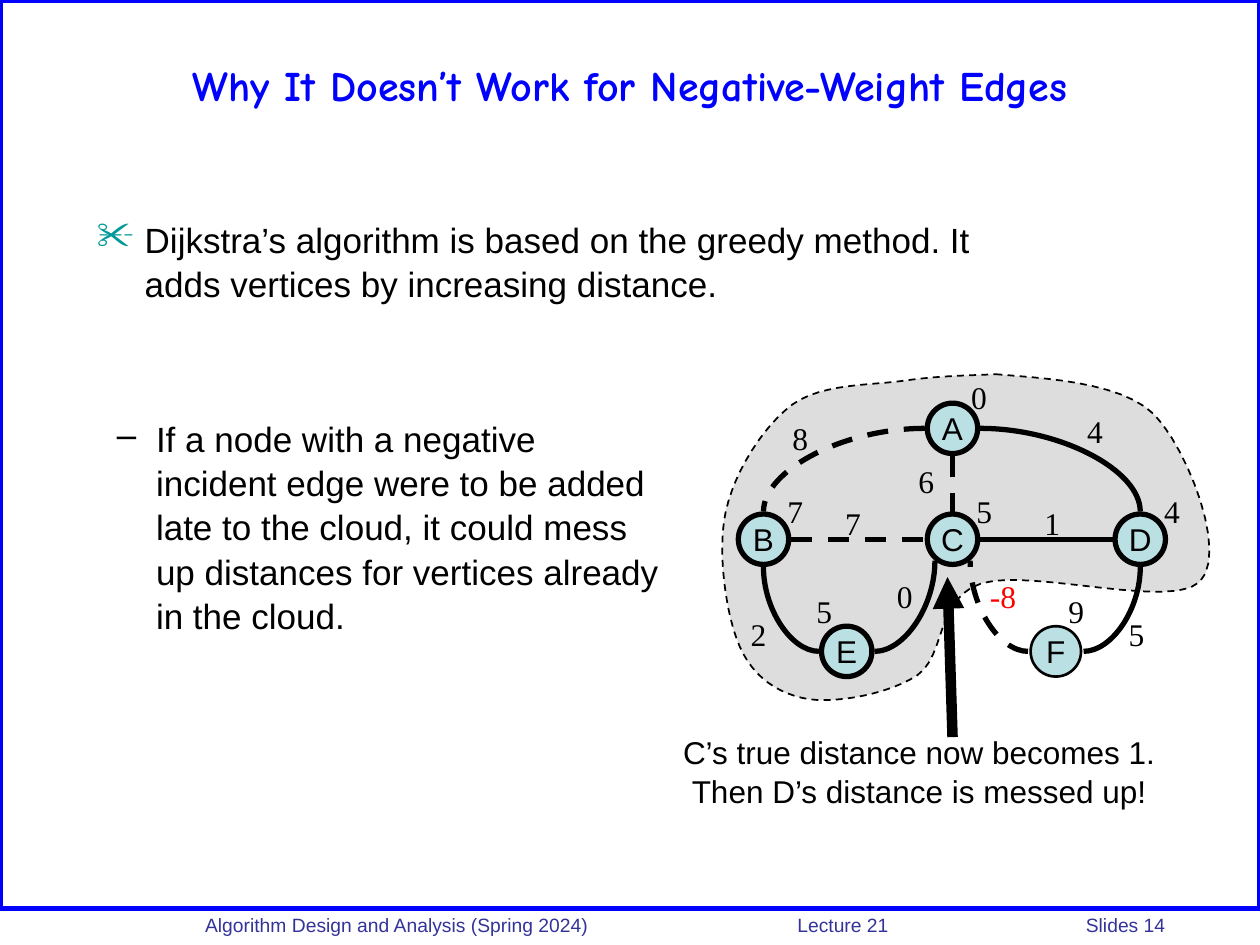
from lxml.etree import SubElement
from pptx import Presentation
from pptx.dml.color import RGBColor
from pptx.enum.dml import MSO_LINE
from pptx.enum.shapes import MSO_CONNECTOR, MSO_SHAPE
from pptx.enum.text import MSO_ANCHOR, PP_ALIGN
from pptx.oxml.ns import qn
from pptx.util import Inches, Pt

NODES = {
    "A": (2.56, 0.4, 3), "B": (1.06, 1.28, 3), "C": (2.56, 1.28, 3),
    "D": (4.05, 1.28, 3), "E": (1.72, 2.17, 3), "F": (3.38, 2.17, 1.5),
}
GAP = 0.22
STRAIGHT = [("A", 0, GAP, "C", 0, -GAP, True), ("B", GAP, 0, "C", -GAP, 0, True),
            ("C", GAP, 0, "D", -GAP, 0, False)]
CURVED = [("A", -GAP, 0, "B", 0, -GAP, True), ("E", -GAP, 0, "B", 0, GAP, False),
          ("E", GAP, 0, "C", -0.14, 0.17, False), ("F", GAP, 0, "D", 0, GAP, False),
          ("A", GAP, 0, "D", 0, -GAP, False), ("F", -GAP, 0, "C", 0.14, 0.17, True)]
DISTANCES = [("0", 2.77, 0.15), ("4", 4.3, 1.06), ("5", 2.81, 1.06),
             ("7", 1.31, 1.06), ("5", 1.54, 1.85), ("9", 3.54, 1.85)]
WEIGHTS = [("4", 3.69, 0.42), ("8", 1.35, 0.48), ("7", 1.77, 1.15),
           ("1", 3.35, 1.15), ("2", 1.02, 2.03), ("5", 4.02, 2.03),
           ("6", 2.35, 0.82), ("0", 2.18, 1.73), ("-8", 2.96, 1.73)]
CLOUD = [(2.9, -0.03),
         (3.22, 0), (3.89, 0.02), (4.16, 0.29), (4.43, 0.57), (4.75, 1.4), (4.52, 1.62),
         (4.3, 1.84), (3.17, 1.51), (2.79, 1.63), (2.42, 1.75), (2.51, 2.2), (2.28, 2.36),
         (2.05, 2.51), (1.65, 2.58), (1.42, 2.55), (1.18, 2.51), (0.98, 2.38), (0.87, 2.13),
         (0.76, 1.88), (0.69, 1.37), (0.76, 1.06), (0.83, 0.74), (1.06, 0.38), (1.29, 0.21),
         (1.53, 0.04), (1.92, 0.06), (2.19, 0.02), (2.46, -0.02), (2.75, -0.02), (2.9, -0.03)]


def color(code):
    """Turn a hex string into a colour."""
    return RGBColor.from_string(code)


def write(para, text, size, code="000000", font="Arial", bold=False):
    """Add one formatted run to a paragraph."""
    run = para.add_run()
    run.text = text
    run.font.size, run.font.name, run.font.bold = Pt(size), font, bold
    run.font.color.rgb = color(code)


def paint(shape, fill, code, width, dash=False):
    """Set fill and outline of a shape."""
    shape.shadow.inherit = False
    if fill:
        shape.fill.solid()
        shape.fill.fore_color.rgb = color(fill)
    else:
        shape.fill.background()
    stroke(shape.line, code, width, dash)


def stroke(line, code, width, dash=False):
    """Set colour, width and dash of a line."""
    line.color.rgb, line.width = color(code), Pt(width)
    if dash:
        line.dash_style = MSO_LINE.DASH


def add_text(slide, box, wrap=True):
    """Add a text box and return its first paragraph."""
    frame = slide.shapes.add_textbox(*map(Inches, box)).text_frame
    frame.word_wrap = wrap
    return frame.paragraphs[0]


def add_bullet(slide, box, text, mark, code, left, hang, scale=100):
    """Place one bulleted paragraph in the box."""
    para = add_text(slide, box)
    props = para._p.get_or_add_pPr()
    props.set("marL", str(Inches(left)))
    props.set("indent", str(-Inches(hang)))
    tint = SubElement(props, qn("a:buClr"))
    SubElement(tint, qn("a:srgbClr"), val=code)
    SubElement(props, qn("a:buSzPct"), val=str(scale * 1000))
    SubElement(props, qn("a:buChar"), char=mark)
    para.line_spacing = 1.05
    write(para, text, 20)


def add_line(slide, start, end, width=3, dash=False, curve=False, arrow=False):
    """Draw a straight line or a quarter curve between two points."""
    kind = MSO_CONNECTOR.CURVE if curve else MSO_CONNECTOR.STRAIGHT
    line = slide.shapes.add_connector(kind, *map(Inches, (*start, *end)))
    stroke(line.line, "000000", width, dash)
    props = line._element.spPr
    if curve:
        props.find(qn("a:prstGeom")).set("prst", "curvedConnector2")
    if arrow:
        SubElement(props.find(qn("a:ln")), qn("a:tailEnd"), type="triangle")
    SubElement(props, qn("a:effectLst"))


def add_title(slide, box):
    """Move the title placeholder to the box and fill it."""
    title = slide.shapes.title
    title.left, title.top, title.width, title.height = map(Inches, box)
    frame = title.text_frame
    frame.vertical_anchor = MSO_ANCHOR.MIDDLE
    para = frame.paragraphs[0]
    para.alignment = PP_ALIGN.CENTER
    write(para, "Why It Doesn’t Work for Negative-Weight Edges", 24,
          "0000FF", "Comic Neue", True)


def add_footer(slide, box):
    """Place the footer parts at tab stops in the box."""
    para = add_text(slide, box)
    tabs = SubElement(para._p.get_or_add_pPr(), qn("a:tabLst"))
    for stop in (0.2, 4.9, 7.19):
        SubElement(tabs, qn("a:tab"), pos=str(Inches(stop)), algn="l")
    for part in ("Algorithm Design and Analysis (Spring 2024)", "Lecture 21", "Slides 14"):
        write(para, "\t" + part, 11, "333399")


def add_cloud(slide, left, top):
    """Draw the shaded cloud from its Bezier points."""
    dots = []
    for i in range(0, len(CLOUD) - 1, 3):
        a, b, c, d = CLOUD[i:i + 4]
        for t in (n / 12 for n in range(12)):
            u = 1 - t
            dots.append([Inches(o + u**3 * p + 3 * u * u * t * q + 3 * u * t * t * r + t**3 * s)
                         for o, p, q, r, s in zip((left, top), a, b, c, d)])
    builder = slide.shapes.build_freeform(*dots[0])
    builder.add_line_segments(dots[1:], close=True)
    paint(builder.convert_to_shape(), "DDDDDD", "000000", 1, True)


def add_node(slide, name, x, y, width):
    """Draw a named vertex centred on a point."""
    node = slide.shapes.add_shape(
        MSO_SHAPE.OVAL, *map(Inches, (x - 0.2, y - 0.2, 0.4, 0.4)))
    paint(node, "BBE0E3", "000000", width)
    frame = node.text_frame
    frame.word_wrap, frame.vertical_anchor = False, MSO_ANCHOR.MIDDLE
    para = frame.paragraphs[0]
    para.alignment = PP_ALIGN.CENTER
    write(para, name, 18)


def add_graph(slide, left, top):
    """Draw the weighted graph with its cloud from a top left corner."""
    add_cloud(slide, left, top)
    for name, (x, y, width) in NODES.items():
        add_node(slide, name, left + x, top + y, width)
    for edges, curve in ((STRAIGHT, False), (CURVED, True)):
        for a, ax, ay, b, bx, by, dash in edges:
            start = left + NODES[a][0] + ax, top + NODES[a][1] + ay
            end = left + NODES[b][0] + bx, top + NODES[b][1] + by
            add_line(slide, start, end, dash=dash, curve=curve)
    for text, x, y in DISTANCES + WEIGHTS:
        wide = 0.41 if len(text) > 1 else 0.32
        para = add_text(slide, (left + x - wide / 2, top + y - 0.2, wide, 0.4), False)
        para.alignment = PP_ALIGN.CENTER
        write(para, text, 18, "FF0000" if text == "-8" else "000000", "Times New Roman")


def add_note(slide, box):
    """Place the caption in the box with an arrow up to vertex C."""
    para = add_text(slide, box)
    para.alignment, para.line_spacing = PP_ALIGN.CENTER, 1.05
    write(para, "C’s true distance now becomes 1. Then D’s distance is messed up!", 18)
    left, top = box[:2]
    add_line(slide, (left + 2.3, top + 0.1), (left + 2.26, top - 1.17), 6, arrow=True)


def main():
    """Build and save the slide."""
    deck = Presentation()
    deck.slide_width, deck.slide_height = Inches(10), Inches(7.5)
    slide = deck.slides.add_slide(deck.slide_layouts[5])
    frame = slide.shapes.add_shape(MSO_SHAPE.RECTANGLE, *map(Inches, (0, 0, 10, 7.21)))
    paint(frame, None, "0000FF", 3)
    add_footer(slide, (1.33, 7.2, 8.67, 0.26))
    add_title(slide, (0.5, 0.17, 9, 1))
    add_bullet(slide, (0.33, 3.25, 5.02, 2.7),
               "If a node with a negative incident edge were to be added late to the cloud, "
               "it could mess up distances for vertices already in the cloud.",
               "–", "000000", 0.81, 0.31)
    add_graph(slide, 5, 3)
    add_bullet(slide, (0.67, 1.67, 7.71, 1.29),
               "Dijkstra’s algorithm is based on the greedy method. "
               "It adds vertices by increasing distance.",
               "✂", "009999", 0.38, 0.38, 110)
    add_note(slide, (5.26, 5.75, 4.07, 0.7))
    deck.save("out.pptx")


if __name__ == "__main__":
    main()
